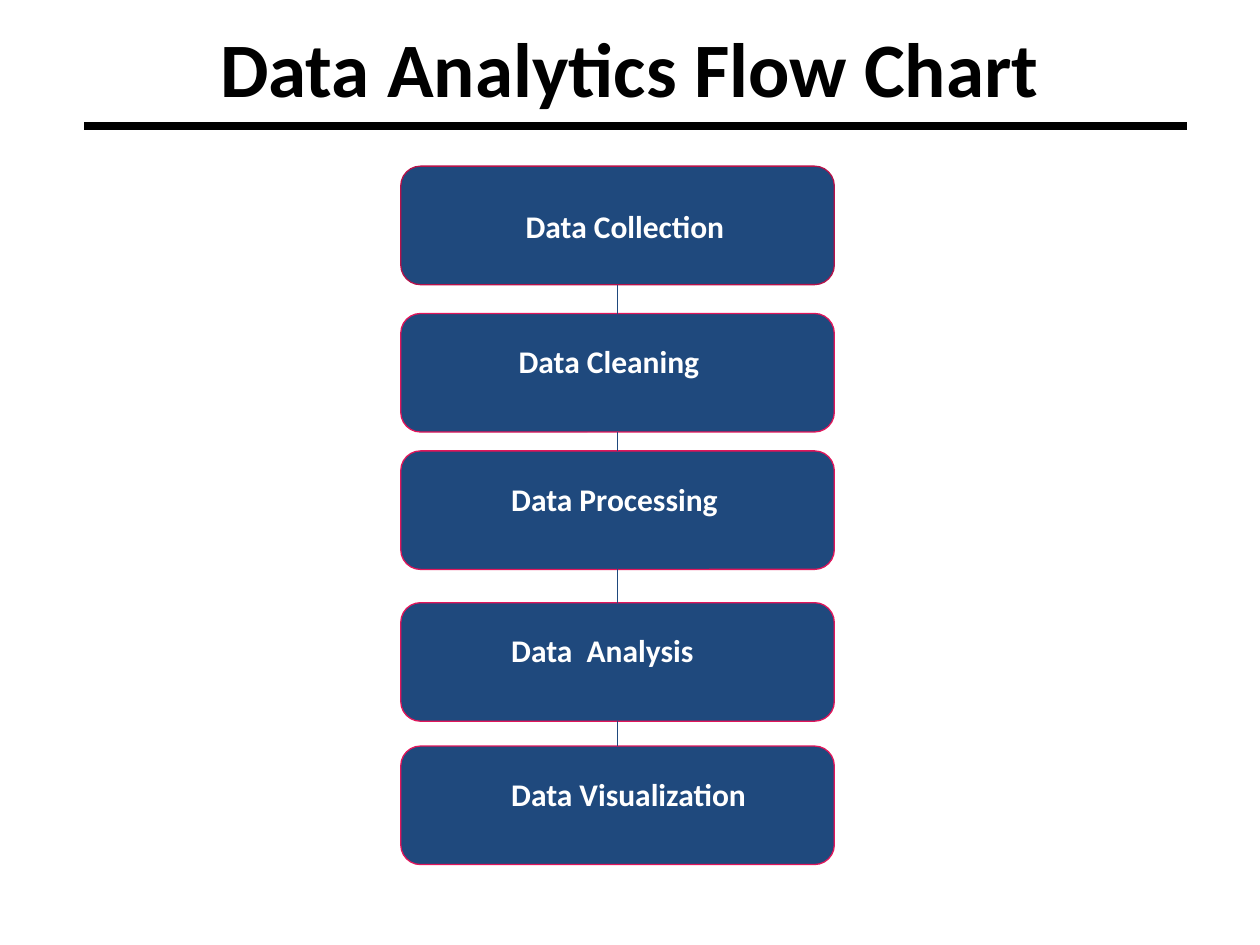
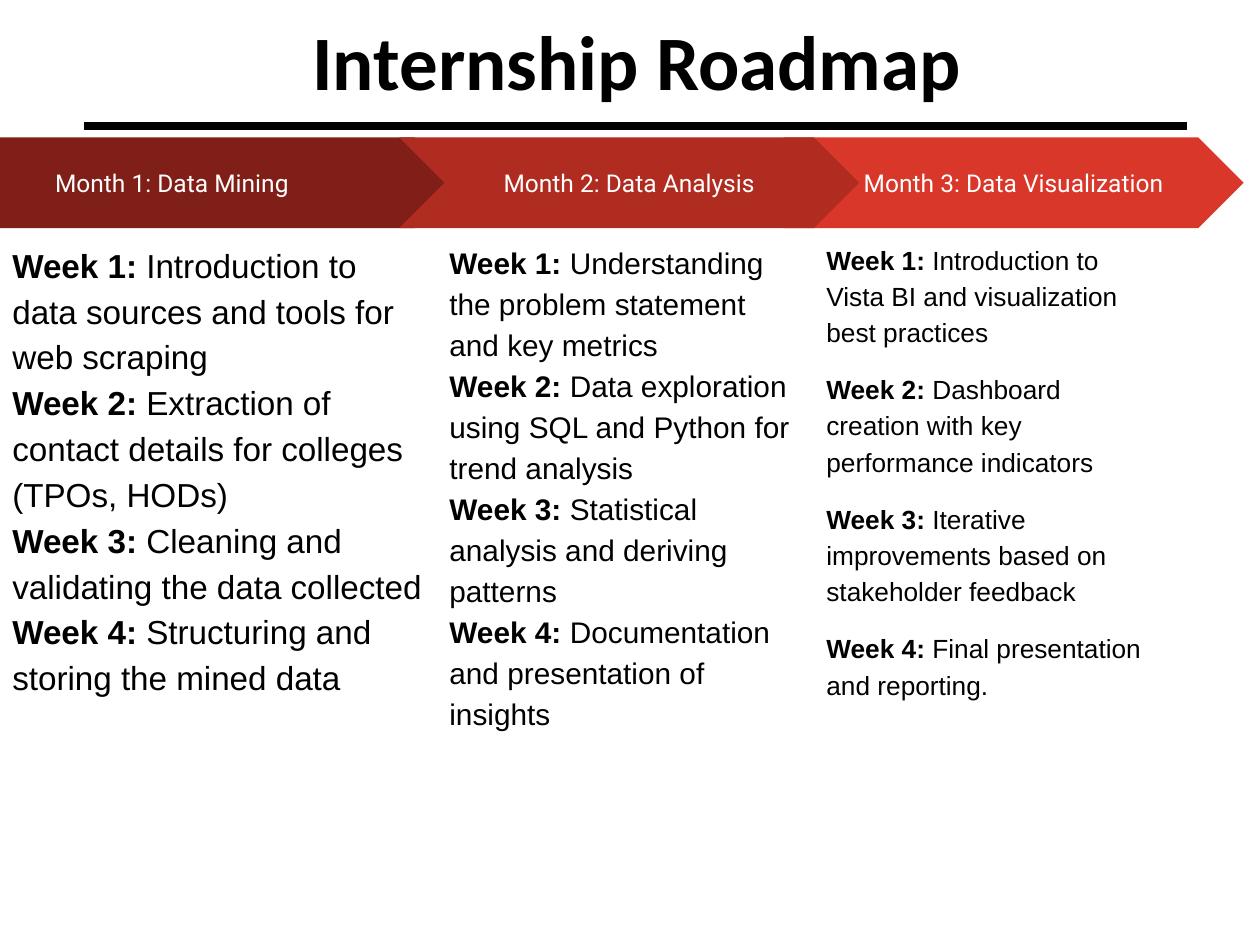
import pptx
import pptx.util
import pptx.dml.color
import pptx.enum.shapes
import pptx.enum.text
import pptx.oxml.ns
import lxml.etree

Cm = pptx.util.Cm
Pt = pptx.util.Pt
RGBColor = pptx.dml.color.RGBColor
Shape = pptx.enum.shapes.MSO_SHAPE
Align = pptx.enum.text.PP_ALIGN
Anchor = pptx.enum.text.MSO_ANCHOR

BLACK = RGBColor(0x00, 0x00, 0x00)
WHITE = RGBColor(0xFF, 0xFF, 0xFF)
NAVY = RGBColor(0x1F, 0x49, 0x7D)
CRIMSON = RGBColor(0xB6, 0x12, 0x4A)
PINK = RGBColor(0xE1, 0x16, 0x5B)
DARK_RED = RGBColor(0x80, 0x1F, 0x17)
MID_RED = RGBColor(0xB0, 0x2B, 0x20)
BRIGHT_RED = RGBColor(0xD8, 0x37, 0x29)

INSET = 0.25

STEPS = [
    ("Data Collection", 3.35, 2.15, 0, CRIMSON),
    ("Data Cleaning", 6.32, 2.01, 0.47, PINK),
    ("Data Processing", 9.09, 1.86, 0.47, PINK),
    ("Data  Analysis", 12.15, 1.86, 0.47, PINK),
    ("Data Visualization", 15.04, 1.86, 0.47, PINK),
]

MONTHS = [
    dict(heading="Month 3: Data Visualization", arrow_left=15.8, color=BRIGHT_RED,
         plan_box=(16.41, 4.57, 7.16, 8.69), size=15, gap=12,
         weeks=["Introduction to Vista BI and visualization best practices",
                "Dashboard creation with key performance indicators",
                "Iterative improvements based on stakeholder feedback",
                "Final presentation and reporting."]),
    dict(heading="Month 1: Data Mining", arrow_left=0, color=DARK_RED,
         plan_box=(0, 4.57, 8.92, 12.09), size=19,
         outline=Shape.PENTAGON, align=Align.LEFT, indent=0.86,
         weeks=["Introduction to data sources and tools for web scraping",
                "Extraction of contact details for colleges (TPOs, HODs)",
                "Cleaning and validating the data collected",
                "Structuring and storing the mined data"]),
    dict(heading="Month 2: Data Analysis", arrow_left=8.05, color=MID_RED,
         plan_box=(8.81, 4.57, 7.39, 7.65), size=17,
         weeks=["Understanding the problem statement and key metrics",
                "Data exploration using SQL and Python for trend analysis",
                "Statistical analysis and deriving patterns",
                "Documentation and presentation of insights"]),
]


def box_cm(box):
    return [Cm(length) for length in box]


def write_text(frame, paragraphs, *, font, size, color, align=Align.LEFT,
               anchor=Anchor.MIDDLE, margins=(INSET,) * 4,
               line_spacing=None, gap=0):
    frame.word_wrap = True
    frame.auto_size = pptx.enum.text.MSO_AUTO_SIZE.NONE
    frame.vertical_anchor = anchor
    (frame.margin_left, frame.margin_top,
     frame.margin_right, frame.margin_bottom) = box_cm(margins)
    for number, pieces in enumerate(paragraphs):
        paragraph = frame.add_paragraph() if number else frame.paragraphs[0]
        paragraph.alignment = align
        paragraph.line_spacing = line_spacing
        paragraph.space_before = Pt(gap)
        for words, bold in pieces:
            run = paragraph.add_run()
            run.text = words
            run.font.name = font
            run.font.size = Pt(size)
            run.font.bold = bold
            run.font.color.rgb = color


def draw_panel(shapes, outline, box, fill, border=None):
    panel = shapes.add_shape(outline, *box_cm(box))
    panel.shadow.inherit = False
    panel.fill.solid()
    panel.fill.fore_color.rgb = fill
    if border is None:
        panel.line.fill.background()
    else:
        panel.line.color.rgb = border
        panel.line.width = Pt(0.75)
    return panel


def draw_line(shapes, color, width, start=(0, 0), end=(0, 0)):
    line = shapes.add_connector(pptx.enum.shapes.MSO_CONNECTOR.STRAIGHT,
                                *box_cm(start + end))
    line.line.color.rgb = color
    line.line.width = Pt(width)
    lxml.etree.SubElement(line.element.spPr, pptx.oxml.ns.qn("a:effectLst"))
    return line


def add_title_rule(slide):
    rule = draw_line(slide.shapes, BLACK, 4.5, (1.7, 2.54), (23.93, 2.54))
    rule.element.nvCxnSpPr.cNvPr.set("id", "20")
    slide.slide_layout.shapes.element.append(rule.element)


def add_titled_slide(deck, title, box):
    slide = deck.slides.add_slide(deck.slide_layouts[5])
    heading = slide.shapes.title
    heading.left, heading.top, heading.width, heading.height = box_cm(box)
    write_text(heading.text_frame, [[(title, True)]], font="Calibri", size=44,
               color=BLACK, align=Align.CENTER,
               margins=(INSET, 0.13, INSET, 0.13))
    return slide


def draw_flow(slide, left, width, height):
    previous = None
    for label, top, indent, lift, border in STEPS:
        step = draw_panel(slide.shapes, Shape.ROUNDED_RECTANGLE,
                          (left, top, width, height), NAVY, border)
        write_text(step.text_frame, [[(label, True)]], font="Calibri", size=18,
                   color=WHITE,
                   margins=(INSET + indent, INSET, INSET, INSET + lift))
        if previous is not None:
            link = draw_line(slide.shapes, NAVY, 0.75)
            link.begin_connect(previous, 2)
            link.end_connect(step, 0)
        previous = step


def draw_month(slide, top, width, height, *, heading, arrow_left, color, plan_box,
               size, weeks, gap=0, outline=Shape.CHEVRON, align=Align.CENTER,
               indent=0):
    month = slide.shapes.add_group_shape()
    arrow = draw_panel(month.shapes, outline, (arrow_left, top, width, height), color)
    write_text(arrow.text_frame, [[(heading, False)]], font="Roboto", size=14,
               color=WHITE, align=align,
               margins=(INSET + indent, INSET, INSET, INSET))
    plan = month.shapes.add_textbox(*box_cm(plan_box))
    entries = [[(f"Week {number}:", True), (f" {task}", False)]
               for number, task in enumerate(weeks, 1)]
    write_text(plan.text_frame, entries, font="Arial", size=size, color=BLACK,
               anchor=Anchor.TOP, line_spacing=1.15, gap=gap)


def main():
    deck = pptx.Presentation()
    deck.slide_width, deck.slide_height = Cm(25.4), Cm(19.05)

    flow_slide = add_titled_slide(deck, "Data Analytics Flow Chart",
                                  (1.27, 0, 22.86, 2.67))
    add_title_rule(flow_slide)
    draw_flow(flow_slide, left=8.08, width=8.74, height=2.39)

    roadmap_slide = add_titled_slide(deck, "Internship Roadmap",
                                     (1.3, 0, 23.09, 2.39))
    for month in MONTHS:
        draw_month(roadmap_slide, 2.77, 9.27, 1.83, **month)

    deck.save("out.pptx")


if __name__ == "__main__":
    main()
